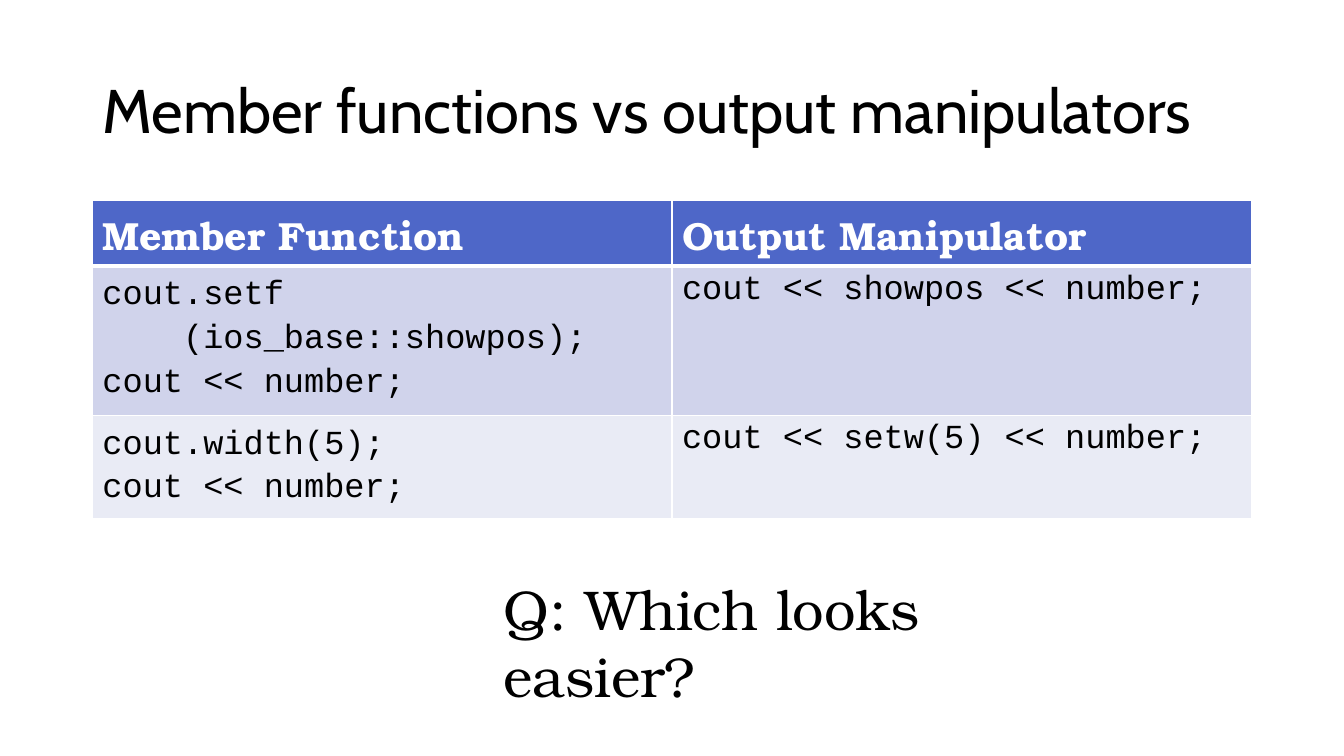
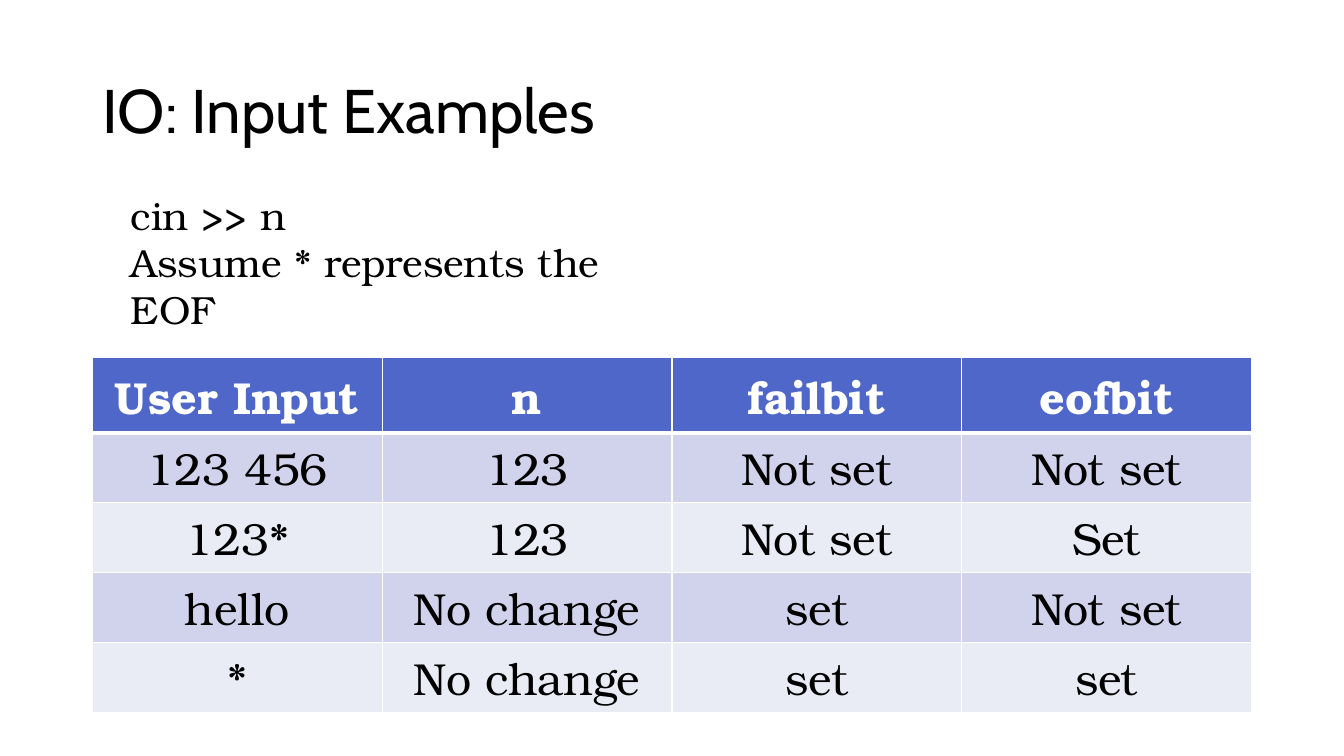
"""Build two slides on C++ stream formatting and input state."""
from dataclasses import dataclass

from lxml import etree
from pptx import Presentation
from pptx.dml.color import RGBColor
from pptx.enum.text import MSO_ANCHOR, PP_ALIGN
from pptx.oxml.ns import qn
from pptx.slide import Slide
from pptx.table import _Cell
from pptx.text.text import _Paragraph
from pptx.util import Pt

LEFT, CENTER = PP_ALIGN.LEFT, PP_ALIGN.CENTER
TOP, MIDDLE = MSO_ANCHOR.TOP, MSO_ANCHOR.MIDDLE

COLORS = {
    "text": "000000",
    "white": "FFFFFF",
    "header": "4E67C8",
    "odd_row": "D0D3EB",
    "even_row": "E9EBF5",
}
TITLE_FONT, BODY_FONT, CODE_FONT = "Cabin", "TeX Gyre Bonum", "Courier New"
SLIDE_WIDTH, SLIDE_HEIGHT = 960, 540
MARGIN, CONTENT_WIDTH = 66, 828
THIN_RULE, HEADER_RULE = 1, 3
CODE_INDENT = 57.6


@dataclass(frozen=True)
class TextStyle:
    font: str
    size: float
    color: str = "text"
    bold: bool = False
    align: PP_ALIGN = LEFT
    spacing: float = 1.0


@dataclass(frozen=True)
class Line:
    text: str
    indent: float = 0
    spacing: float | None = None


@dataclass(frozen=True)
class TextBlock:
    left: float
    top: float
    width: float
    height: float
    lines: list[Line]
    style: TextStyle
    anchor: MSO_ANCHOR = TOP


@dataclass(frozen=True)
class Grid:
    top: float
    row_heights: list[float]
    rows: list[list[list[Line]]]
    header: TextStyle
    body: TextStyle


@dataclass(frozen=True)
class Page:
    title: str
    grid: Grid
    note: TextBlock


def rgb(name: str) -> RGBColor:
    """Return a palette colour."""
    return RGBColor.from_string(COLORS[name])


def write_line(paragraph: _Paragraph, line: Line, style: TextStyle) -> None:
    """Fill and format one paragraph."""
    paragraph.text = line.text
    paragraph.alignment = style.align
    paragraph.line_spacing = line.spacing or style.spacing
    font = paragraph.font
    font.name, font.size, font.bold = style.font, Pt(style.size), style.bold
    font.color.rgb = rgb(style.color)
    if line.indent:
        properties = paragraph._p.get_or_add_pPr()
        properties.set("marL", str(Pt(line.indent)))
        properties.set("indent", "0")


def write_lines(text_frame, lines: list[Line], style: TextStyle) -> None:
    """Write each line as its own paragraph."""
    for index, line in enumerate(lines):
        paragraph = text_frame.add_paragraph() if index else text_frame.paragraphs[0]
        write_line(paragraph, line, style)


def draw_text(slide: Slide, block: TextBlock) -> None:
    """Draw a wrapping text block."""
    box = slide.shapes.add_textbox(
        Pt(block.left), Pt(block.top), Pt(block.width), Pt(block.height)
    )
    box.text_frame.word_wrap = True
    box.text_frame.vertical_anchor = block.anchor
    write_lines(box.text_frame, block.lines, block.style)


def draw_title(slide: Slide, title: str) -> None:
    """Draw the shared slide title."""
    style = TextStyle(TITLE_FONT, 44, spacing=0.9)
    draw_text(slide, TextBlock(MARGIN, 28.8, CONTENT_WIDTH, 104.4, [Line(title)], style, MIDDLE))


def set_borders(cell: _Cell, top: float, bottom: float) -> None:
    """Rule all four sides of a cell in white."""
    properties = cell._tc.get_or_add_tcPr()
    widths = {"a:lnL": THIN_RULE, "a:lnR": THIN_RULE, "a:lnT": top, "a:lnB": bottom}
    for side, width in widths.items():
        rule = etree.SubElement(properties, qn(side), w=str(Pt(width)))
        fill = etree.SubElement(rule, qn("a:solidFill"))
        etree.SubElement(fill, qn("a:srgbClr"), val=COLORS["white"])


def draw_grid(slide: Slide, grid: Grid) -> None:
    """Draw a table with a header and banded rows."""
    column_count = len(grid.rows[0])
    table = slide.shapes.add_table(
        len(grid.rows), column_count, Pt(MARGIN), Pt(grid.top),
        Pt(CONTENT_WIDTH), Pt(sum(grid.row_heights)),
    ).table
    table.horz_banding = False
    for column in table.columns:
        column.width = Pt(CONTENT_WIDTH / column_count)
    for row_index, (height, row) in enumerate(zip(grid.row_heights, grid.rows)):
        table.rows[row_index].height = Pt(height)
        is_header = row_index == 0
        band = "header" if is_header else ("even_row", "odd_row")[row_index % 2]
        for column_index, lines in enumerate(row):
            cell = table.cell(row_index, column_index)
            set_borders(
                cell,
                HEADER_RULE if row_index == 1 else THIN_RULE,
                HEADER_RULE if is_header else THIN_RULE,
            )
            cell.fill.solid()
            cell.fill.fore_color.rgb = rgb(band)
            write_lines(cell.text_frame, lines, grid.header if is_header else grid.body)


def code(text: str, indent: float = 0) -> Line:
    """Return a line of a loosely spaced code sample."""
    return Line(text, indent, 1.15)


def plain_rows(*rows: tuple[str, ...]) -> list[list[list[Line]]]:
    """Turn rows of words into rows of one-line cells."""
    return [[[Line(text)] for text in row] for row in rows]


MANIPULATORS = Page(
    "Member functions vs output manipulators",
    Grid(
        top=142.8,
        row_heights=[47.3, 101, 69.5],
        rows=[
            [[Line("Member Function")], [Line("Output Manipulator")]],
            [
                [
                    code("cout.setf"),
                    code("(ios_base::showpos);", CODE_INDENT),
                    code("cout << number;"),
                ],
                [Line("cout << showpos << number;")],
            ],
            [
                [code("cout.width(5);"), code("cout << number;")],
                [Line("cout << setw(5) << number;")],
            ],
        ],
        header=TextStyle(BODY_FONT, 28, "white", bold=True),
        body=TextStyle(CODE_FONT, 24),
    ),
    TextBlock(352.8, 406.8, 431.3, 55.4, [Line("Q: Which looks easier?")],
              TextStyle(BODY_FONT, 40)),
)

INPUT_EXAMPLES = Page(
    "IO: Input Examples",
    Grid(
        top=255.6,
        row_heights=[53.5] + [50] * 4,
        rows=plain_rows(
            ("User Input", "n", "failbit", "eofbit"),
            ("123 456", "123", "Not set", "Not set"),
            ("123*", "123", "Not set", "Set"),
            ("hello", "No change", "set", "Not set"),
            ("*", "No change", "set", "set"),
        ),
        header=TextStyle(BODY_FONT, 32, "white", bold=True, align=CENTER),
        body=TextStyle(BODY_FONT, 32, align=CENTER),
    ),
    TextBlock(86.4, 133.2, 394.6, 74.9,
              [Line("cin >> n"), Line("Assume * represents the EOF")],
              TextStyle(BODY_FONT, 28)),
)


def main() -> None:
    """Build and save the presentation."""
    presentation = Presentation()
    presentation.slide_width = Pt(SLIDE_WIDTH)
    presentation.slide_height = Pt(SLIDE_HEIGHT)
    blank_layout = presentation.slide_layouts[6]
    for page in (MANIPULATORS, INPUT_EXAMPLES):
        slide = presentation.slides.add_slide(blank_layout)
        draw_title(slide, page.title)
        draw_grid(slide, page.grid)
        draw_text(slide, page.note)
    presentation.save("out.pptx")


if __name__ == "__main__":
    main()
